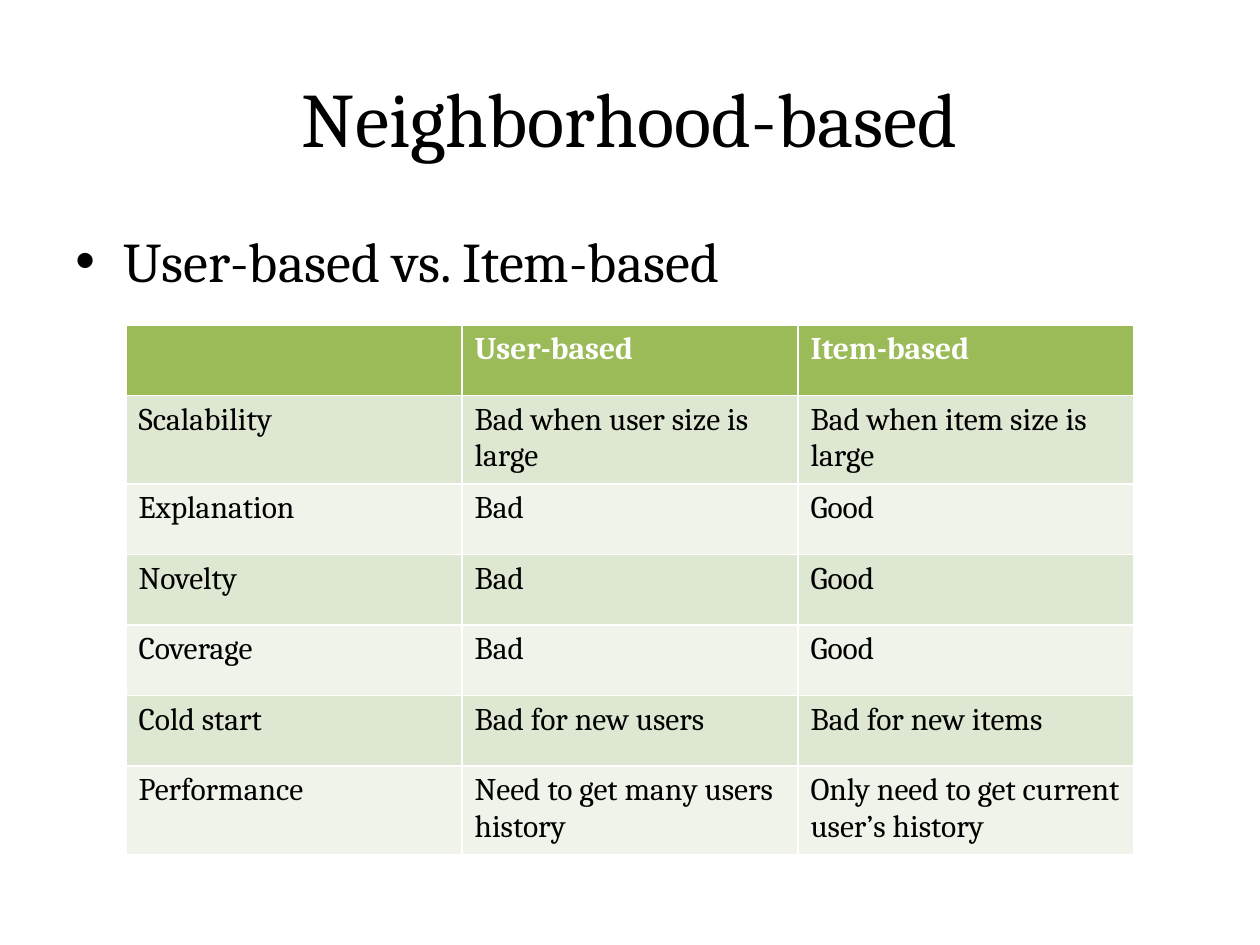
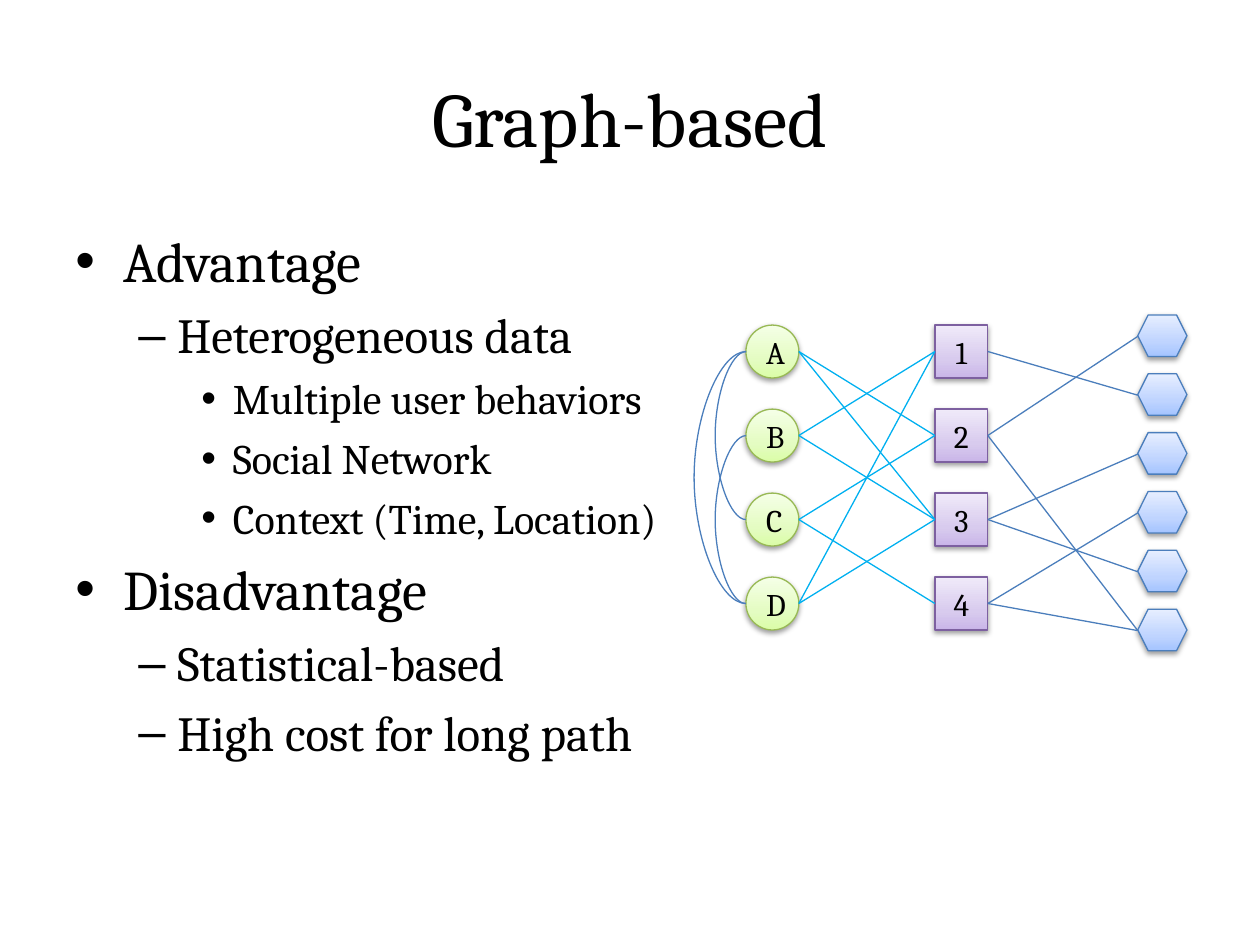
from lxml import etree
from pptx import Presentation
from pptx.dml.color import RGBColor
from pptx.enum import shapes, text
from pptx.oxml import parse_xml
from pptx.oxml.ns import nsdecls, qn
from pptx.util import Inches, Pt

FONT = "Cambria"
COLORS = {
    "black": "000000", "white": "FFFFFF",
    "header": "9BBB59", "band_dark": "DEE7D1", "band_light": "EFF3EA",
    "user_line": "98B955", "item_line": "7D60A0", "blue_line": "4B7EBC",
    "behavior": "00B0F0",
}
GRADIENTS = {  # bottom, 35 %, top
    "user": ("DAFDA7", "E4FCC2", "F5FFE7"),
    "item": ("C9B5E8", "D8CBEE", "F0EAF9"),
    "feature": ("A4C4FF", "BFD4FF", "E6EEFF"),
}
LEVELS = [  # size, left indent, hanging indent, bullet
    (32, 0.38, 0.38, "•"), (28, 0.81, 0.31, "–"), (24, 1.25, 0.25, "•"),
]
SLIDES = [
    ("Neighborhood-based", [(0, "User-based vs. Item-based")]),
    ("Graph-based", [
        (0, "Advantage"),
        (1, "Heterogeneous data"),
        (2, "Multiple user behaviors"),
        (2, "Social Network"),
        (2, "Context (Time, Location)"),
        (0, "Disadvantage"),
        (1, "Statistical-based"),
        (1, "High cost for long path"),
    ]),
]


def style(paragraph, size, color="black", bold=False):
    for span in paragraph.runs:
        span.font.name = FONT
        span.font.size = Pt(size)
        span.font.bold = bold
        span.font.color.rgb = RGBColor.from_string(COLORS[color])


def link(page, kind, start, end, color):
    """Draw a thin connector without shadow between two points in inches."""
    line = page.shapes.add_connector(kind, *(Inches(v) for v in (*start, *end)))
    line.line.color.rgb = RGBColor.from_string(COLORS[color])
    line.line.width = Pt(0.75)
    etree.SubElement(line._element.spPr, qn("a:effectLst"))
    return line


deck = Presentation()
deck.slide_width, deck.slide_height = Inches(10), Inches(7.5)

# Titles and bullet lists
pages = []
for title, bullets in SLIDES:
    page = deck.slides.add_slide(deck.slide_layouts[6])
    pages.append(page)

    box = page.shapes.add_textbox(Inches(0.5), Inches(0.3), Inches(9), Inches(1.25))
    frame = box.text_frame
    frame.word_wrap = True
    frame.vertical_anchor = text.MSO_ANCHOR.MIDDLE
    frame.text = title
    frame.paragraphs[0].alignment = text.PP_ALIGN.CENTER
    style(frame.paragraphs[0], 44)

    box = page.shapes.add_textbox(Inches(0.5), Inches(1.75), Inches(9), Inches(4.95))
    frame = box.text_frame
    frame.word_wrap = True
    frame.text = "\n".join(words for _, words in bullets)
    for index, (para, (level, _)) in enumerate(zip(frame.paragraphs, bullets)):
        size, indent, hanging, symbol = LEVELS[level]
        para.level = level
        props = para._p.get_or_add_pPr()
        props.set("marL", str(Inches(indent)))
        props.set("indent", str(-Inches(hanging)))
        etree.SubElement(props, qn("a:buFont"), typeface="Arial")
        etree.SubElement(props, qn("a:buChar"), char=symbol)
        if index:
            para.space_before = Pt(size * 0.22)
        style(para, size)

comparison_page, graph_page = pages

# Comparison table
comparison = [
    ("", "User-based", "Item-based"),
    ("Scalability", "Bad when user size is large", "Bad when item size is large"),
    ("Explanation", "Bad", "Good"),
    ("Novelty", "Bad", "Good"),
    ("Coverage", "Bad", "Good"),
    ("Cold start", "Bad for new users", "Bad for new items"),
    ("Performance", "Need to get many users history",
     "Only need to get current user’s history"),
]
table = comparison_page.shapes.add_table(
    len(comparison), 3, Inches(1), Inches(2.58), Inches(8),
    Inches(0.56 * len(comparison))).table
for row, entries in enumerate(comparison):
    fill = "header" if row == 0 else "band_dark" if row % 2 else "band_light"
    for column, words in enumerate(entries):
        cell = table.cell(row, column)
        cell.text = words
        cell.fill.solid()
        cell.fill.fore_color.rgb = RGBColor.from_string(COLORS[fill])
        style(cell.text_frame.paragraphs[0], 18,
              "black" if row else "white", bold=row == 0)

# Graph nodes: users, items and their features
NODE = 0.42
USER_LEFT, ITEM_LEFT, FEATURE_LEFT = 5.92, 7.42, 9.03
node_tops = [2.58 + 2 / 3 * i for i in range(4)]
feature_tops = [2.5 + 0.467 * i for i in range(6)]
SHAPE = shapes.MSO_SHAPE
node_columns = [
    (SHAPE.HEXAGON, FEATURE_LEFT, feature_tops, 0.39, 0.33, "feature", "blue_line", ""),
    (SHAPE.OVAL, USER_LEFT, node_tops, NODE, NODE, "user", "user_line", "ABCD"),
    (SHAPE.RECTANGLE, ITEM_LEFT, node_tops, NODE, NODE, "item", "item_line", "1234"),
]
for kind, left, tops, width, height, gradient, outline, labels in node_columns:
    for index, top in enumerate(tops):
        node = graph_page.shapes.add_shape(
            kind, Inches(left), Inches(top), Inches(width), Inches(height))
        stops = "".join(
            f'<a:gs pos="{position}"><a:srgbClr val="{color}"/></a:gs>'
            for position, color in zip((0, 35000, 100000), GRADIENTS[gradient]))
        props = node._element.spPr
        props.find(qn("a:prstGeom")).addnext(parse_xml(
            f'<a:gradFill {nsdecls("a")} rotWithShape="1"><a:gsLst>{stops}</a:gsLst>'
            '<a:lin ang="16200000" scaled="0"/></a:gradFill>'))
        node.line.color.rgb = RGBColor.from_string(COLORS[outline])
        node.line.width = Pt(0.75)
        props.append(parse_xml(
            f'<a:effectLst {nsdecls("a")}><a:outerShdw blurRad="{Pt(3.1)}" '
            f'dist="{Pt(1.6)}" dir="5400000" rotWithShape="0"><a:srgbClr val="000000">'
            '<a:alpha val="38000"/></a:srgbClr></a:outerShdw></a:effectLst>'))
        if labels:
            frame = node.text_frame
            frame.text = labels[index]
            frame.vertical_anchor = text.MSO_ANCHOR.MIDDLE
            frame.paragraphs[0].alignment = text.PP_ALIGN.CENTER
            style(frame.paragraphs[0], 18)

# Straight links, as (from, to) node numbers
node_middles = [top + NODE / 2 for top in node_tops]
feature_middles = [top + 0.17 for top in feature_tops]
STRAIGHT = shapes.MSO_CONNECTOR.STRAIGHT
user_items = [(0, 1), (0, 2), (1, 0), (1, 2), (2, 1), (2, 3), (3, 2), (3, 0)]
item_features = [(0, 1), (1, 0), (1, 5), (2, 2), (2, 4), (3, 3), (3, 5)]
for user, item in user_items:
    link(graph_page, STRAIGHT, (USER_LEFT + NODE, node_middles[user]),
         (ITEM_LEFT, node_middles[item]), "behavior")
for item, feature in item_features:
    link(graph_page, STRAIGHT, (ITEM_LEFT + NODE, node_middles[item]),
         (FEATURE_LEFT, feature_middles[feature]), "blue_line")

# Curved links between users; the bend is a multiple of the tiny width
CURVE_WIDTH = 0.002
for upper, lower, bow in [(0, 2, 0.25), (0, 3, 0.42), (1, 3, 0.25)]:
    curve = link(graph_page, shapes.MSO_CONNECTOR.CURVE,
                 (USER_LEFT, node_middles[lower]),
                 (USER_LEFT + CURVE_WIDTH, node_middles[upper]), "blue_line")
    props = curve._element.spPr
    props.find(qn("a:xfrm")).set("rot", "10800000")
    bend = round(bow / CURVE_WIDTH * 100000)
    etree.SubElement(props.find(qn("a:prstGeom")).find(qn("a:avLst")), qn("a:gd"),
                     name="adj1", fmla=f"val {bend}")

deck.save("out.pptx")
